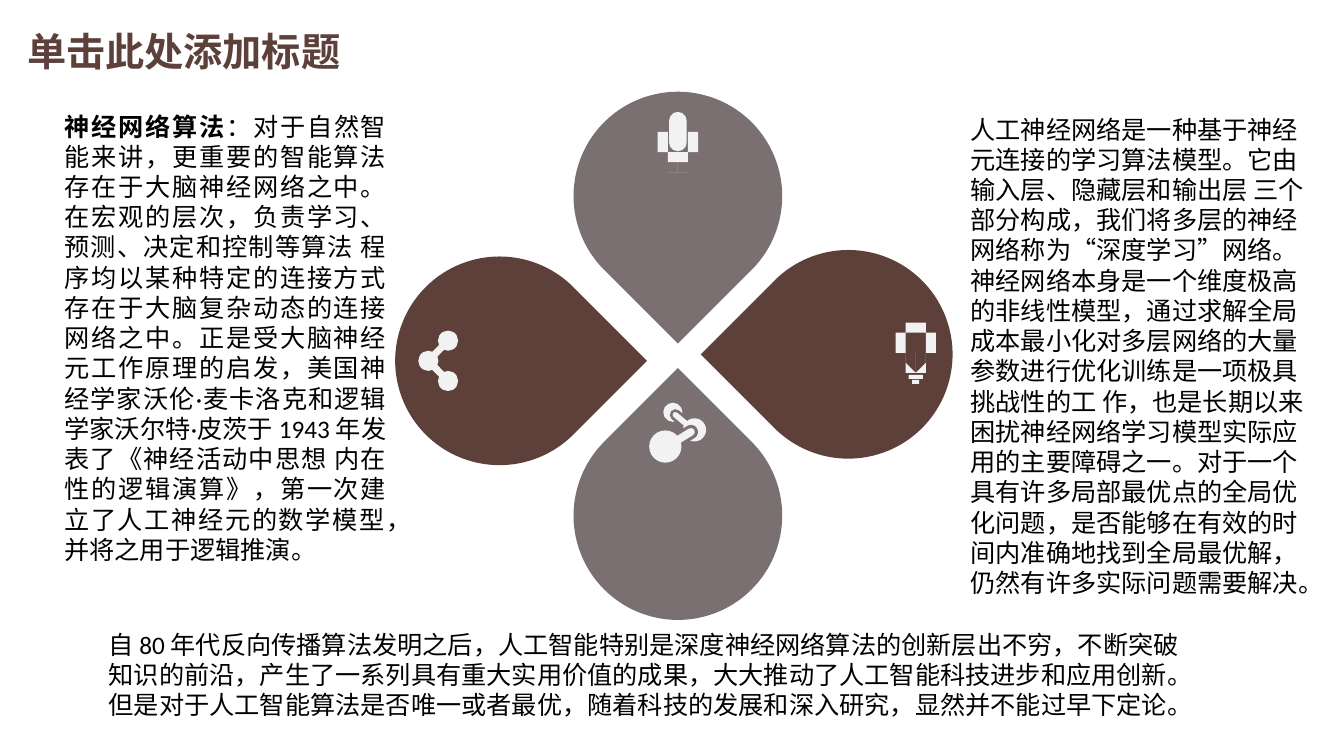
from dataclasses import dataclass
from math import cos, radians, sin

from lxml.etree import SubElement
from pptx import Presentation
from pptx.dml.color import RGBColor
from pptx.enum.lang import MSO_LANGUAGE_ID
from pptx.enum.shapes import MSO_CONNECTOR, MSO_SHAPE
from pptx.enum.text import MSO_ANCHOR, MSO_AUTO_SIZE, PP_ALIGN
from pptx.oxml.ns import qn
from pptx.util import Inches, Pt


@dataclass(frozen=True)
class Theme:
    brown: RGBColor = RGBColor.from_string("5D403A")
    grey: RGBColor = RGBColor.from_string("7A6F71")
    icon: RGBColor = RGBColor.from_string("F2F2F2")
    ink: RGBColor = RGBColor.from_string("000000")
    title_font: str = "Montserrat"
    body_font: str = "Calibri"
    title_size: int = 28
    body_size: int = 18


THEME = Theme()
CELL = Inches(0.1)  # square grid cell; the slide is 133.3 columns by 75 rows
COLUMNS, ROWS = 133.33, 75
PETAL = 20.7

TITLE = "单击此处添加标题"
ORIGIN_LEAD = "神经网络算法"
ORIGIN = (
    "：对于自然智能来讲，更重要的智能算法存在于大脑神经网络之中。在宏观的层次，负责学习、"
    "预测、决定和控制等算法 程序均以某种特定的连接方式存在于大脑复杂动态的连接网络之中。"
    "正是受大脑神经 元工作原理的启发，美国神经学家沃伦·麦卡洛克和逻辑学家沃尔特·皮茨于 "
    "1943 年发表了《神经活动中思想 内在性的逻辑演算》，第一次建立了人工神经元的数学模型，"
    "并将之用于逻辑推演。"
)
MODEL = (
    "人工神经网络是一种基于神经元连接的学习算法模型。它由输入层、隐藏层和输出层 三个部分构成，"
    "我们将多层的神经网络称为“深度学习”网络。神经网络本身是一个维度极高的非线性模型，"
    "通过求解全局成本最小化对多层网络的大量参数进行优化训练是一项极具挑战性的工 作，"
    "也是长期以来困扰神经网络学习模型实际应用的主要障碍之一。对于一个具有许多局部最优点的"
    "全局优化问题，是否能够在有效的时间内准确地找到全局最优解，仍然有许多实际问题需要解决。"
)
OUTLOOK = (
    "自 80 年代反向传播算法发明之后，人工智能特别是深度神经网络算法的创新层出不穷，"
    "不断突破知识的前沿，产生了一系列具有重大实用价值的成果，大大推动了人工智能科技进步和"
    "应用创新。但是对于人工智能算法是否唯一或者最优，随着科技的发展和深入研究，"
    "显然并不能过早下定论。"
)


def cells(*counts):
    return [round(count * CELL) for count in counts]


def paint(shape, color):
    shape.shadow.inherit = False
    shape.fill.solid()
    shape.fill.fore_color.rgb = color
    shape.line.fill.background()
    return shape


def arc(x, y, radius, start, end, steps=24):
    """Points on a circle; angles run clockwise from the right."""
    angles = [radians(start + (end - start) * i / steps) for i in range(steps + 1)]
    return [(x + radius * cos(a), y + radius * sin(a)) for a in angles]


class Icon:
    """Draws parts of one icon, placed in cells from its centre."""

    def __init__(self, shapes, x, y):
        self.shapes, self.x, self.y = shapes, x, y

    def block(self, kind, x, y, width, height):
        box = cells(self.x + x - width / 2, self.y + y - height / 2, width, height)
        return paint(self.shapes.add_shape(kind, *box), THEME.icon)

    def dot(self, x, y, radius):
        self.block(MSO_SHAPE.OVAL, x, y, 2 * radius, 2 * radius)

    def outline(self, *contours):
        builder = self.shapes.build_freeform(*contours[0][0], scale=CELL)
        builder.add_line_segments(contours[0][1:], close=True)
        for contour in contours[1:]:
            builder.move_to(*contour[0])
            builder.add_line_segments(contour[1:], close=True)
        paint(builder.convert_to_shape(*cells(self.x, self.y)), THEME.icon)

    def rod(self, start, end, width, color=THEME.icon):
        ends = cells(self.x + start[0], self.y + start[1], self.x + end[0], self.y + end[1])
        link = self.shapes.add_connector(MSO_CONNECTOR.STRAIGHT, *ends)
        link.line.color.rgb = color
        link.line.width = Pt(width)
        link.line._get_or_add_ln().set("cap", "rnd")
        SubElement(link._element.spPr, qn("a:effectLst"))


def microphone(icon):
    capsule = icon.block(MSO_SHAPE.ROUNDED_RECTANGLE, 0, -1.05, 1.75, 3.9)
    capsule.adjustments[0] = 0.5
    # Cradle with round arm ends
    icon.outline(arc(0, 0, 1.85, 0, 180) + arc(-1.6, -1.1, 0.25, 180, 360)
                 + arc(0, 0, 1.35, 180, 0) + arc(1.6, -1.1, 0.25, 180, 360))
    # Stem and foot
    icon.outline([(-0.25, 1.7), (0.25, 1.7), (0.25, 2.6), (1.4, 2.95),
                  (-1.4, 2.95), (-0.25, 2.6)])


def molecule(icon):
    icon.dot(-0.5, -2.1, 0.95)
    for color, width in ((THEME.grey, 8), (THEME.icon, 4)):
        icon.rod((-0.25, -1.85), (1, -0.8), width, color)
    icon.dot(1.65, -0.35, 1.15)
    for color, width in ((THEME.grey, 10), (THEME.icon, 5.5)):
        icon.rod((-0.6, 1), (1.3, -0.15), width, color)
    icon.dot(-1.25, 1.3, 1.6)


def bulb(icon):
    # Glass and the hollow around the filament
    icon.outline(
        arc(0, -0.95, 1.75, 165, 375) + [(1.3, 0.3), (0.75, 1.95), (-0.75, 1.95), (-1.3, 0.3)],
        arc(0, -0.85, 1.35, 165, 375) + [(0.75, 0.7), (0.45, 1.5), (0.25, 1.5), (0.25, 0.5),
                                         (-0.25, 0.5), (-0.25, 1.5), (-0.45, 1.5), (-0.75, 0.7)])
    # Screw base
    icon.block(MSO_SHAPE.RECTANGLE, 0, 2.4, 1.4, 0.4)
    icon.block(MSO_SHAPE.RECTANGLE, 0, 2.9, 0.7, 0.4)


def share(icon):
    hub = (-0.95, 0)
    icon.dot(*hub, 1)
    for node in ((1, -2), (1, 2)):
        icon.rod(hub, node, 5)
        icon.dot(*node, 1)


def add_petal(slide, centre, rotation, color, draw, icon_centre):
    shapes = slide.shapes.add_group_shape().shapes
    left, top = (middle - PETAL / 2 for middle in centre)
    drop = shapes.add_shape(MSO_SHAPE.TEAR, *cells(left, top, PETAL, PETAL))
    paint(drop, color).rotation = rotation
    draw(Icon(shapes, *icon_centre))


def add_text(slide, box, runs, frame_format, paragraph_format, font_format):
    frame = slide.shapes.add_textbox(*cells(*box)).text_frame
    paragraph = frame.paragraphs[0]
    for name, value in {"word_wrap": True, **frame_format}.items():
        setattr(frame, name, value)
    for name, value in paragraph_format.items():
        setattr(paragraph, name, value)
    for text, bold, color in runs:
        run = paragraph.add_run()
        run.text = text
        run.font.color.rgb = color
        language = MSO_LANGUAGE_ID.SIMPLIFIED_CHINESE
        for name, value in {**font_format, "bold": bold, "language_id": language}.items():
            setattr(run.font, name, value)


def main():
    deck = Presentation()
    deck.slide_width, deck.slide_height = cells(COLUMNS, ROWS)
    slide = deck.slides.add_slide(deck.slide_layouts[6])

    # Four petals pointing at the middle
    add_petal(slide, (67.25, 19.45), 135, THEME.grey, microphone, (67.25, 14.1))
    add_petal(slide, (67.25, 51.15), 315, THEME.grey, molecule, (67.25, 43))
    add_petal(slide, (84.15, 35.15), 225, THEME.brown, bulb, (90.85, 35))
    add_petal(slide, (49.55, 35.8), 45, THEME.brown, share, (43.45, 35.8))

    # Title
    add_text(slide, (1.7, 1.7, 115, 7.2), [(TITLE, True, THEME.brown)],
             {"vertical_anchor": MSO_ANCHOR.MIDDLE}, {"line_spacing": 0.9},
             {"name": THEME.title_font, "size": Pt(THEME.title_size)})

    # Texts left, right and below
    lead = [(ORIGIN_LEAD, True, THEME.ink), (ORIGIN, False, THEME.ink)]
    for box, runs, alignment in (
        ((5.4, 10.5, 33.9, 49.5), lead, PP_ALIGN.JUSTIFY),
        ((95.3, 10.8, 36, 52.5), [(MODEL, False, THEME.ink)], PP_ALIGN.LEFT),
        ((9.8, 61.9, 109.4, 13.1), [(OUTLOOK, False, THEME.ink)], PP_ALIGN.LEFT),
    ):
        add_text(slide, box, runs, {"auto_size": MSO_AUTO_SIZE.SHAPE_TO_FIT_TEXT},
                 {"alignment": alignment},
                 {"name": THEME.body_font, "size": Pt(THEME.body_size)})

    deck.save("out.pptx")


if __name__ == "__main__":
    main()
